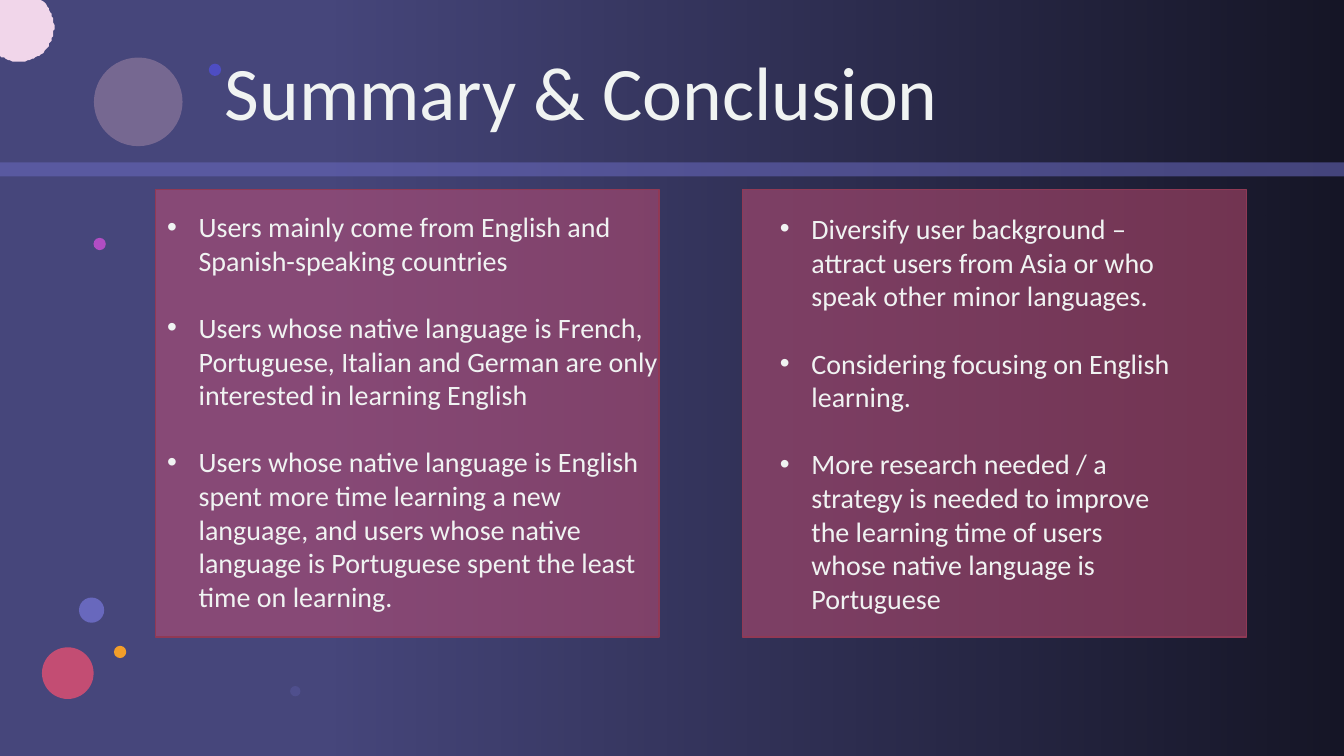
from dataclasses import dataclass
from math import acos, asin, cos, pi, sin

from lxml.etree import SubElement
from pptx import Presentation
from pptx.dml.color import RGBColor
from pptx.enum.shapes import MSO_CONNECTOR, MSO_SHAPE
from pptx.oxml.ns import qn
from pptx.util import Pt


@dataclass(frozen=True)
class Theme:
    font: str = "Calibri"
    title_size: float = 54
    body_size: float = 20
    paragraph_gap: float = 24
    bullet_indent: float = 22.5
    background: str = "46467B"
    shade: str = "000000"
    text: str = "F0F3F2"
    rule: str = "6868BD"
    card: str = "C34D73"
    card_line: str = "903955"
    corner: str = "F1D6EA"


THEME = Theme()
WIDTH, HEIGHT = 960, 540

DOTS = [
    (67.1, 41.1, 63.3, "E7B8C7", 30),
    (149.2, 45.5, 8.8, "4E4DC3", 100),
    (66.8, 169.9, 8.8, "B14DC3", 100),
    (56.4, 426.8, 18, "6868BD", 100),
    (30, 462.4, 36.9, "C34D73", 100),
    (81.4, 461.3, 8.8, "F39E29", 100),
    (207.2, 490, 7.4, "6868BD", 28),
]

FINDINGS = [
    "Users mainly come from English and Spanish-speaking countries",
    "Users whose native language is French, Portuguese, Italian and German are only interested in learning English",
    "Users whose native language is English spent more time learning a new language, and users whose native "
    "language is Portuguese spent the least time on learning.",
]
ACTIONS = [
    "Diversify user background – attract users from Asia or who speak other minor languages.",
    "Considering focusing on English learning.",
    "More research needed / a strategy is needed to improve the learning time of users whose native language "
    "is Portuguese",
]


def set_alpha(color_element, percent):
    SubElement(color_element, qn("a:alpha")).set("val", str(percent * 1000))


def paint(shape, color, opacity=100):
    shape.shadow.inherit = False
    shape.fill.solid()
    shape.fill.fore_color.rgb = RGBColor.from_string(color)
    shape.line.fill.background()
    if opacity < 100:
        set_alpha(shape.fill._xPr.find(".//" + qn("a:srgbClr")), opacity)


def add_panel(slide, kind, left, top, width, height, color, opacity=100):
    shape = slide.shapes.add_shape(kind, Pt(left), Pt(top), Pt(width), Pt(height))
    paint(shape, color, opacity)
    return shape


def add_corner_circle(slide, center_x, center_y, radius, steps=48):
    start = -asin(center_y / radius)
    end = pi - acos(center_x / radius)
    angles = [start + (end - start) * step / steps for step in range(steps + 1)]
    arc = [(center_x + radius * cos(a), center_y + radius * sin(a)) for a in angles]
    builder = slide.shapes.build_freeform(0, 0, scale=Pt(1))
    builder.add_line_segments([(max(x, 0), max(y, 0)) for x, y in arc], close=True)
    paint(builder.convert_to_shape(), THEME.corner)


def add_shade(slide, left, top, width, height):
    shape = add_panel(slide, MSO_SHAPE.RECTANGLE, left, top, width, height, THEME.shade)
    shape.fill.gradient()
    shape.fill.gradient_angle = 0
    for stop, position, opacity in zip(shape.fill.gradient_stops, (0, 1), (0, 70)):
        stop.position = position
        stop.color.rgb = RGBColor.from_string(THEME.shade)
    colors = shape.fill._xPr.findall(".//" + qn("a:srgbClr"))
    for color, opacity in zip(colors, (0, 70)):
        set_alpha(color, opacity)


def add_backdrop(slide):
    slide.background.fill.solid()
    slide.background.fill.fore_color.rgb = RGBColor.from_string(THEME.background)
    add_corner_circle(slide, 13.8, 19.3, 24.8)
    for left, top, size, color, opacity in DOTS:
        add_panel(slide, MSO_SHAPE.OVAL, left, top, size, size, color, opacity)
    shade_left = 234
    add_shade(slide, shade_left, 0, WIDTH - shade_left, HEIGHT)


def add_text(slide, left, top, width, height, lines, size, bulleted=False):
    box = slide.shapes.add_textbox(Pt(left), Pt(top), Pt(width), Pt(height))
    frame = box.text_frame
    frame.word_wrap = True
    for index, line in enumerate(lines):
        paragraph = frame.add_paragraph() if index else frame.paragraphs[0]
        if index:
            paragraph.space_before = Pt(THEME.paragraph_gap)
        if bulleted:
            properties = paragraph._p.get_or_add_pPr()
            properties.set("marL", str(Pt(THEME.bullet_indent)))
            properties.set("indent", str(-Pt(THEME.bullet_indent)))
            SubElement(properties, qn("a:buFont")).set("typeface", "Arial")
            SubElement(properties, qn("a:buChar")).set("char", "•")
        run = paragraph.add_run()
        run.text = line
        run.font.name = THEME.font
        run.font.size = Pt(size)
        run.font.color.rgb = RGBColor.from_string(THEME.text)


def add_header(slide, left, top, width, height):
    rule_y = top + height + 19.5
    rule = slide.shapes.add_connector(MSO_CONNECTOR.STRAIGHT, 0, Pt(rule_y), Pt(WIDTH), Pt(rule_y))
    rule.line.width = Pt(10)
    rule.line.color.rgb = RGBColor.from_string(THEME.rule)
    set_alpha(rule.line._ln.find(".//" + qn("a:srgbClr")), 56)
    SubElement(rule._element.spPr, qn("a:effectLst"))
    add_text(slide, left, top, width, height, ["Summary & Conclusion"], THEME.title_size)


def add_card(slide, left, top, width, height, text_left, text_top, text_width, points):
    card = add_panel(slide, MSO_SHAPE.RECTANGLE, left, top, width, height, THEME.card, 52)
    card.line.color.rgb = RGBColor.from_string(THEME.card_line)
    card.line.width = Pt(1)
    add_text(slide, left + text_left, top + text_top, text_width, height - 2 * text_top,
             points, THEME.body_size, bulleted=True)


def main():
    presentation = Presentation()
    presentation.slide_width = Pt(WIDTH)
    presentation.slide_height = Pt(HEIGHT)
    slide = presentation.slides.add_slide(presentation.slide_layouts[6])
    add_backdrop(slide)
    add_header(slide, 153.4, 28.8, 557.3, 72.7)
    add_card(slide, 110.9, 135.4, 360, 319.7, 1.4, 10.8, 367.2, FINDINGS)
    add_card(slide, 530.6, 135.4, 360, 319.7, 19.4, 12.2, 297.4, ACTIONS)
    presentation.save("out.pptx")


if __name__ == "__main__":
    main()
